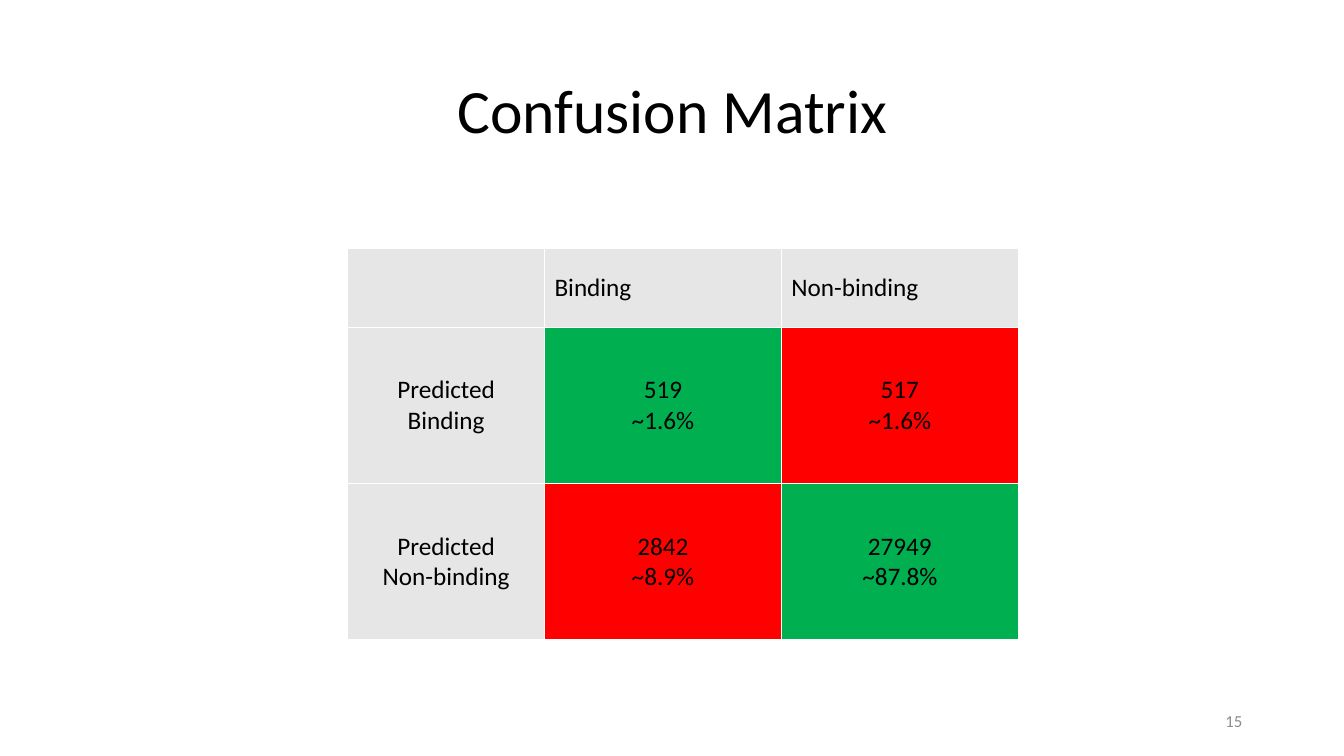
from dataclasses import dataclass

from lxml.etree import SubElement
from pptx import Presentation
from pptx.dml.color import RGBColor as Rgb
from pptx.enum.text import MSO_ANCHOR as Anchor, PP_ALIGN as Align
from pptx.oxml.ns import qn
from pptx.util import Inches, Pt


@dataclass(frozen=True)
class Theme:
    font: str = "Calibri"
    ink: str = "000000"
    muted: str = "8C8C8C"
    head: str = "E7E6E6"
    right: str = "00B050"
    wrong: str = "FF0000"
    rule: str = "FFFFFF"
    title: int = 44
    body: int = 18
    small: int = 12


THEME = Theme()
COLS = [1.95, 2.35, 2.35]
ROWS = [0.79, 1.55, 1.55]
MATRIX = [
    ["", "Binding", "Non-binding"],
    ["Predicted Binding", "519\n~1.6%", "517\n~1.6%"],
    ["Predicted\nNon-binding", "2842\n~8.9%", "27949\n~87.8%"],
]


def write(frame, text, size, color, align):
    frame.text = text
    for par in frame.paragraphs:
        par.alignment = align
        par.font.size = Pt(size)
        for run in par.runs:
            font = run.font
            font.name = THEME.font
            font.size = Pt(size)
            font.color.rgb = Rgb.from_string(color)


def add_title(slide, box, text):
    title = slide.shapes.title
    title.left, title.top, title.width, title.height = map(Inches, box)
    frame = title.text_frame
    write(frame, text, THEME.title, THEME.ink, Align.CENTER)
    frame.vertical_anchor = Anchor.MIDDLE
    frame.paragraphs[0].line_spacing = 0.9


def add_rules(cell):
    """Draw the four borders; call before the fill, which must follow them."""
    props = cell._tc.get_or_add_tcPr()
    for side in "LRTB":
        line = SubElement(props, qn(f"a:ln{side}"), w=str(Pt(1)))
        fill = SubElement(line, qn("a:solidFill"))
        SubElement(fill, qn("a:srgbClr"), val=THEME.rule)


def shade(row, col):
    if row == 0 or col == 0:
        return THEME.head
    return THEME.right if row == col else THEME.wrong


def add_matrix(slide, box):
    shape = slide.shapes.add_table(len(ROWS), len(COLS), *map(Inches, box))
    table = shape.table
    for col, width in zip(table.columns, COLS):
        col.width = Inches(width)
    for row, height in zip(table.rows, ROWS):
        row.height = Inches(height)
    for r, texts in enumerate(MATRIX):
        align = Align.CENTER if r else Align.LEFT
        for c, text in enumerate(texts):
            cell = table.cell(r, c)
            write(cell.text_frame, text, THEME.body, THEME.ink, align)
            cell.vertical_anchor = Anchor.MIDDLE
            add_rules(cell)
            cell.fill.solid()
            cell.fill.fore_color.rgb = Rgb.from_string(shade(r, c))


def add_number(slide, box, number):
    frame = slide.shapes.add_textbox(*map(Inches, box)).text_frame
    frame.word_wrap = True
    frame.vertical_anchor = Anchor.MIDDLE
    write(frame, str(number), THEME.small, THEME.muted, Align.RIGHT)


def main():
    deck = Presentation()
    deck.slide_width, deck.slide_height = Inches(13.33), Inches(7.5)
    slide = deck.slides.add_slide(deck.slide_layouts.get_by_name("Title Only"))
    add_title(slide, (0.92, 0.4, 11.5, 1.45), "Confusion Matrix")
    add_matrix(slide, (3.45, 2.46, sum(COLS), sum(ROWS)))
    add_number(slide, (9.42, 6.95, 3, 0.4), 15)
    deck.save("out.pptx")


if __name__ == "__main__":
    main()
